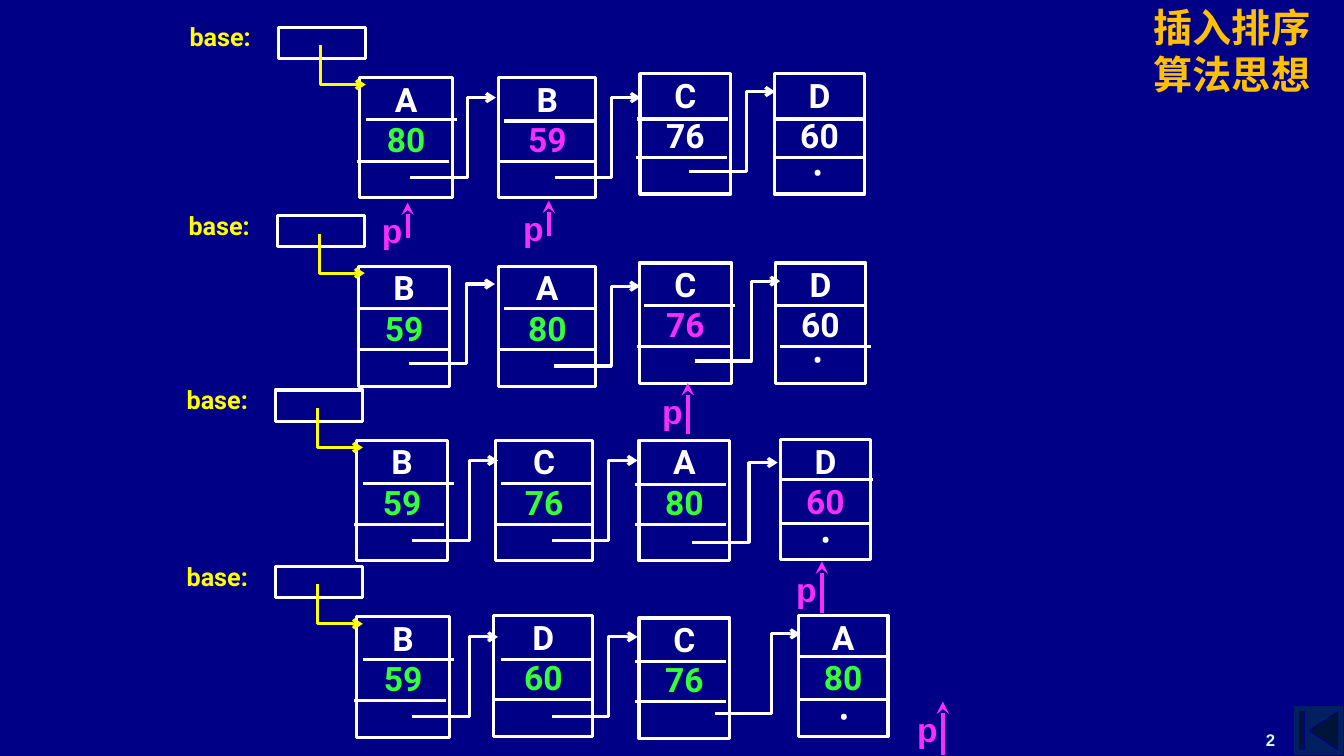
from lxml.etree import SubElement
from pptx import Presentation
from pptx.dml.color import RGBColor
from pptx.enum.shapes import MSO_CONNECTOR, MSO_SHAPE
from pptx.enum.text import MSO_ANCHOR, PP_ALIGN
from pptx.oxml.ns import qn
from pptx.util import Pt

NAVY = RGBColor(0x00, 0x00, 0x86)
DEEP_BLUE = RGBColor(0x00, 0x20, 0x60)
GOLD = RGBColor(0xFF, 0xC0, 0x00)
WHITE = RGBColor(0xFF, 0xFF, 0xFF)
YELLOW = RGBColor(0xFF, 0xFF, 0x00)
GREEN = RGBColor(0x37, 0xFF, 0x37)
PINK = RGBColor(0xF5, 0x2E, 0xFC)
PALE = RGBColor(0xCC, 0xFF, 0xFF)

# fmt: off
STAGES = [
    {"base": (198.7, 19.4), "end_dot": (571, 108.7),
     "nodes": [("A", "80", GREEN, 257, 55.4, 66.2, 4.3, 30.2, -2.2),
               ("B", "59", PINK, 356.4, 55.4, 69.1, 3.6, 31, 0.7),
               ("C", "76", WHITE, 457.2, 52.6, 64.8, -2.2, 32.4, -2.9),
               ("D", "60", WHITE, 553, 52.6, 64.8, 0.7, 32.4, 0.7)],
     "links": [(293, 126.7), (396.4, 126.7), (492.5, 122.4)]},
    {"base": (198, 154.1), "end_dot": (571, 242.6),
     "nodes": [("B", "59", GREEN, 256.3, 190.1, 64.8, -1.4, 30.2, -1.4),
               ("A", "80", GREEN, 356.4, 190.1, 69.1, 3.6, 30.2, 0),
               ("C", "76", PINK, 456.5, 187.9, 66.2, 3.6, 30.2, -1.4),
               ("D", "60", WHITE, 553.7, 187.9, 64.8, 0, 30.2, 3.6)],
     "links": [(292.3, 259.9), (396, 261.4), (496.1, 257.8)]},
    {"base": (196.6, 278.6), "end_dot": (576.7, 370.8),
     "nodes": [("B", "59", GREEN, 254.9, 314.6, 64.8, 4.3, 31, -2.2),
               ("C", "76", GREEN, 354.2, 314.6, 69.1, 3.6, 31, 0.7),
               ("A", "80", GREEN, 456.5, 314.6, 64.8, -2.9, 31.7, -2.9),
               ("D", "60", PINK, 557.3, 313.9, 64.8, 1.4, 28.8, 0)],
     "links": [(294.5, 385.9), (394.2, 385.9), (494.3, 387.4)]},
    {"base": (196.6, 404.6), "end_dot": (589.7, 497.5),
     "nodes": [("B", "59", GREEN, 254.9, 440.6, 66.2, 4.3, 30.2, -2.2),
               ("D", "60", GREEN, 352.8, 439.9, 70.6, 5, 31, -0.7),
               ("C", "76", GREEN, 456.5, 441.4, 64.8, -2.9, 31, -2.9),
               ("A", "80", GREEN, 570.2, 439.9, 64.1, 0, 28.8, 1.4)],
     "links": [(294.5, 511.9), (394.2, 511.9), (510.5, 509.8)]},
]
# fmt: on
POINTERS = [(265.7, 144.7, 25.2), (366.5, 143.3, 25.2), (465.8, 273.6, 36.7),
            (561.6, 401, 36.7), (648, 501.1, 38.2)]

TITLE = {"name": "Roboto", "size": Pt(28), "bold": True}
NODE = {"name": "Roboto", "size": Pt(24), "bold": True}
LABEL = {"name": "Roboto", "size": Pt(18), "bold": True}
POINTER = {"name": "Arial", "size": Pt(24), "bold": True}
NUMBER = {"name": "Arial", "size": Pt(12), "bold": True}
NODE_HEIGHT = 86
UPPER_LENGTH = 65
LOWER_DROP = 59.8

deck = Presentation()
deck.slide_width, deck.slide_height = Pt(960), Pt(540)
page = deck.slides.add_slide(deck.slide_layouts[6])
page.background.fill.solid()
page.background.fill.fore_color.rgb = NAVY


def write(box, lines, style, align=PP_ALIGN.CENTER, anchor=MSO_ANCHOR.TOP, wrap=True):
    frame = box.text_frame
    frame.word_wrap = wrap
    frame.vertical_anchor = anchor
    for index, (text, color) in enumerate(lines):
        para = frame.add_paragraph() if index else frame.paragraphs[0]
        para.text = text
        para.alignment = align
        for span in para.runs:
            for key, value in style.items():
                setattr(span.font, key, value)
            span.font.color.rgb = color


def add_text(left, top, width, height, text, color, style, **layout):
    box = page.shapes.add_textbox(Pt(left), Pt(top), Pt(width), Pt(height))
    write(box, [(text, color)], style, **layout)


def add_frame(left, top, width, height):
    box = page.shapes.add_shape(MSO_SHAPE.RECTANGLE, Pt(left), Pt(top), Pt(width), Pt(height))
    box.shadow.inherit = False
    box.fill.background()
    box.line.color.rgb = WHITE
    box.line.width = Pt(2.25)
    return box


def add_line(x1, y1, x2, y2, color=WHITE, weight=2.25, head=None):
    line = page.shapes.add_connector(MSO_CONNECTOR.STRAIGHT, Pt(x1), Pt(y1), Pt(x2), Pt(y2))
    line.line.color.rgb = color
    line.line.width = Pt(weight)
    SubElement(line._element.spPr, qn("a:effectLst"))
    if head:
        SubElement(line.line._get_or_add_ln(), qn("a:headEnd"), type=head)


def add_bent_arrow(points, color):
    start, *rest = [(Pt(x), Pt(y)) for x, y in points]
    builder = page.shapes.build_freeform(*start)
    builder.add_line_segments(rest, close=False)
    arrow = builder.convert_to_shape()
    arrow.shadow.inherit = False
    arrow.fill.background()
    arrow.line.color.rgb = color
    arrow.line.width = Pt(2.25)
    SubElement(arrow.line._get_or_add_ln(), qn("a:tailEnd"), type="arrow")


def add_node(name, value, color, left, top, width, upper_shift, upper_drop, lower_shift):
    box = add_frame(left, top, width, NODE_HEIGHT)
    for side in ("left", "top", "right", "bottom"):
        setattr(box.text_frame, f"margin_{side}", Pt(0.72))
    write(box, [(name, WHITE), (value, color)], NODE)
    for shift, drop, length in ((upper_shift, upper_drop, UPPER_LENGTH),
                                (lower_shift, LOWER_DROP, width)):
        add_line(left + shift, top + drop, left + shift + length, top + drop)


button = page.shapes.add_shape(MSO_SHAPE.ACTION_BUTTON_BEGINNING, Pt(924), Pt(504), Pt(36), Pt(36))
button.shadow.inherit = False
button.fill.solid()
button.fill.fore_color.rgb = DEEP_BLUE
button.line.color.rgb = NAVY
button.line.width = Pt(0.75)

add_text(800, 0.7, 160, 70.6, "插入排序\v算法思想", GOLD, TITLE, anchor=MSO_ANCHOR.MIDDLE)
add_text(884.2, 503.3, 33.8, 36, "2", PALE, NUMBER, align=PP_ALIGN.RIGHT, anchor=MSO_ANCHOR.BOTTOM)

for stage in STAGES:
    left, top = stage["base"]
    add_text(left - 82.8, top - 7.4, 82.8, 29.5, "base:", YELLOW, LABEL)
    add_frame(left, top, 62.6, 22.3)
    for node in stage["nodes"]:
        add_node(*node)
    x, y = left + 30.2, top + 12.8
    add_bent_arrow([(x, y), (x, y + 28.2), (x + 32.4, y + 28.2)], YELLOW)
    for x, y in stage["links"]:
        add_bent_arrow([(x, y), (x + 40.7, y), (x + 40.7, y - 57), (x + 61.2, y - 57)], WHITE)
    add_text(*stage["end_dot"], 26, 28.8, "•", WHITE, LABEL, wrap=False)

for left, top, length in POINTERS:
    add_text(left, top + 2, 51.8, 36, "p", PINK, POINTER, align=PP_ALIGN.LEFT)
    add_line(left + 25.5, top, left + 25.5, top + length, PINK, 3, "stealth")

deck.save("out.pptx")
